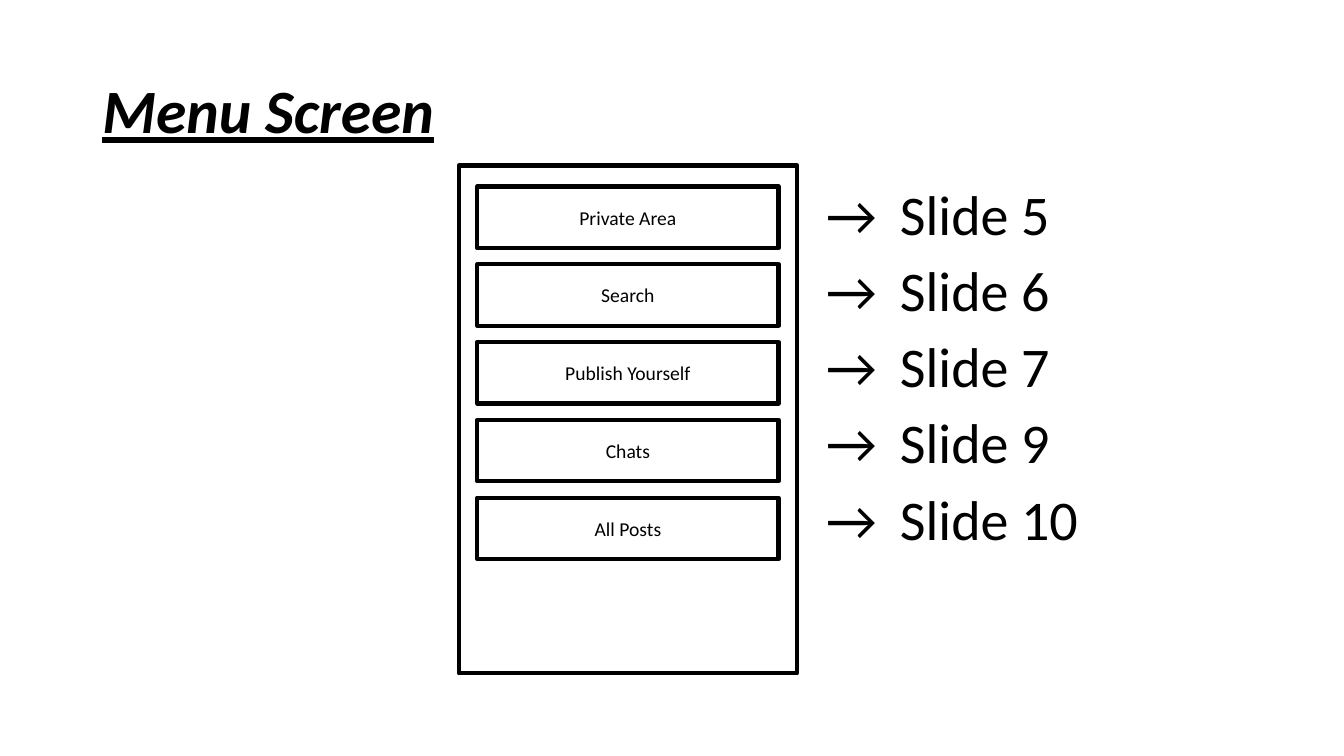
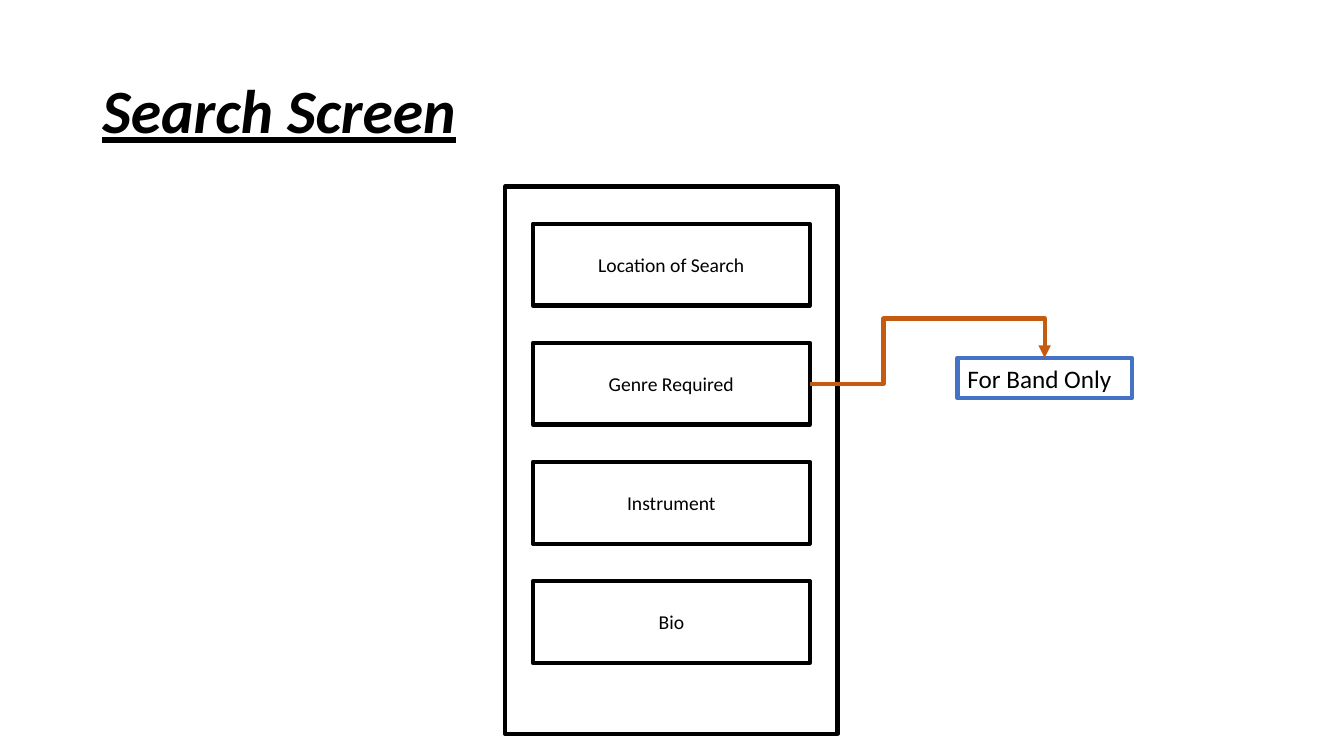
from lxml import etree
from pptx import Presentation
from pptx import util as u
from pptx.dml.color import RGBColor
from pptx.enum import shapes, text
from pptx.oxml.ns import qn

BLACK = RGBColor(0x00, 0x00, 0x00)
BLUE = RGBColor(0x44, 0x72, 0xC4)
ORANGE = RGBColor(0xC5, 0x5A, 0x11)
FONT = "Calibri"
LINE = u.Pt(3)
RIGHT_SITE, TOP_SITE = 3, 0


def cm(box):
    """Turn a box in centimetres into lengths."""
    return [u.Cm(v) for v in box]


def add_run(p, words, size):
    """Add one black run to a paragraph."""
    r = p.add_run()
    r.text = words
    r.font.name = FONT
    r.font.size = u.Pt(size)
    r.font.color.rgb = BLACK
    return r


def add_title(s, words, box=(2.33, 1.02, 29.21, 3.68)):
    """Place the bold, italic, underlined slide title."""
    tf = s.shapes.add_textbox(*cm(box)).text_frame
    tf.word_wrap = True
    tf.vertical_anchor = text.MSO_ANCHOR.MIDDLE
    p = tf.paragraphs[0]
    p.line_spacing = 0.9
    font = add_run(p, words, 44).font
    font.bold = font.italic = font.underline = True


def add_box(s, box, words="", size=14, color=BLACK, align=text.PP_ALIGN.CENTER):
    """Place an outlined rectangle, with text if any is given."""
    sp = s.shapes.add_shape(shapes.MSO_SHAPE.RECTANGLE, *cm(box))
    sp.shadow.inherit = False
    sp.fill.background()
    sp.line.color.rgb = color
    sp.line.width = LINE
    tf = sp.text_frame
    tf.word_wrap = True
    tf.vertical_anchor = text.MSO_ANCHOR.MIDDLE
    if words:
        p = tf.paragraphs[0]
        p.alignment = align
        add_run(p, words, size)
    return sp


def add_phone(s, box, labels, inset, top, height, pitch):
    """Draw a phone frame with evenly spaced buttons and return the buttons."""
    add_box(s, box)
    x, y, w, _ = box
    return [add_box(s, (x + inset, y + top + i * pitch, w - 2 * inset, height), label)
            for i, label in enumerate(labels)]


def add_targets(s, box, targets, indent=1.86):
    """List the slide each button leads to, behind an arrow."""
    tf = s.shapes.add_textbox(*cm(box)).text_frame
    tf.word_wrap = True
    for i, target in enumerate(targets):
        p = tf.add_paragraph() if i else tf.paragraphs[0]
        p.space_before = u.Pt(6.5 if i else 0)
        pPr = p._p.get_or_add_pPr()
        pPr.set("marL", str(u.Cm(indent)))
        pPr.set("indent", str(-u.Cm(indent)))
        add_run(p, f"→\t{target}", 40)


def add_bent_arrow(s, start, end, bends):
    """Join the right of one box to the top of another with a bent arrow."""
    arrow = s.shapes.add_connector(shapes.MSO_CONNECTOR.ELBOW, 0, 0, 0, 0)
    arrow.begin_connect(start, RIGHT_SITE)
    arrow.end_connect(end, TOP_SITE)
    arrow.line.color.rgb = ORANGE
    arrow.line.width = LINE
    spPr = arrow._element.spPr
    geom = spPr.find(qn("a:prstGeom"))
    geom.set("prst", "bentConnector4")
    guides = geom.find(qn("a:avLst"))
    if guides is None:
        guides = etree.SubElement(geom, qn("a:avLst"))
    for i, bend in enumerate(bends, 1):
        etree.SubElement(guides, qn("a:gd"), name=f"adj{i}", fmla=f"val {bend}")
    etree.SubElement(spPr.find(qn("a:ln")), qn("a:tailEnd"), type="triangle")
    etree.SubElement(spPr, qn("a:effectLst"))


def menu_slide(s):
    """Build the menu screen and the slides its buttons open."""
    add_title(s, "Menu Screen")
    menu = {"Private Area": 5, "Search": 6, "Publish Yourself": 7, "Chats": 9, "All Posts": 10}
    add_phone(s, (11.56, 4.17, 8.53, 12.8), menu,
              inset=0.47, top=0.53, height=1.55, pitch=1.96)
    add_targets(s, (20.57, 4.39, 10.39, 9.83), [f"Slide {n}" for n in menu.values()])


def search_slide(s):
    """Build the search screen with a note on the genre field."""
    add_title(s, "Search Screen")
    fields = ["Location of Search", "Genre Required", "Instrument", "Bio"]
    buttons = add_phone(s, (12.73, 4.7, 8.38, 13.79), fields,
                        inset=0.7, top=0.94, height=2.06, pitch=3)
    note = add_box(s, (24.13, 9.02, 4.39, 1.02), "For Band Only", 18, BLUE,
                   text.PP_ALIGN.LEFT)
    add_bent_arrow(s, buttons[1], note, (31400, 252500))


prs = Presentation()
prs.slide_width, prs.slide_height = u.Cm(33.87), u.Cm(19.05)
for build in (menu_slide, search_slide):
    build(prs.slides.add_slide(prs.slide_layouts[6]))
prs.save("out.pptx")
